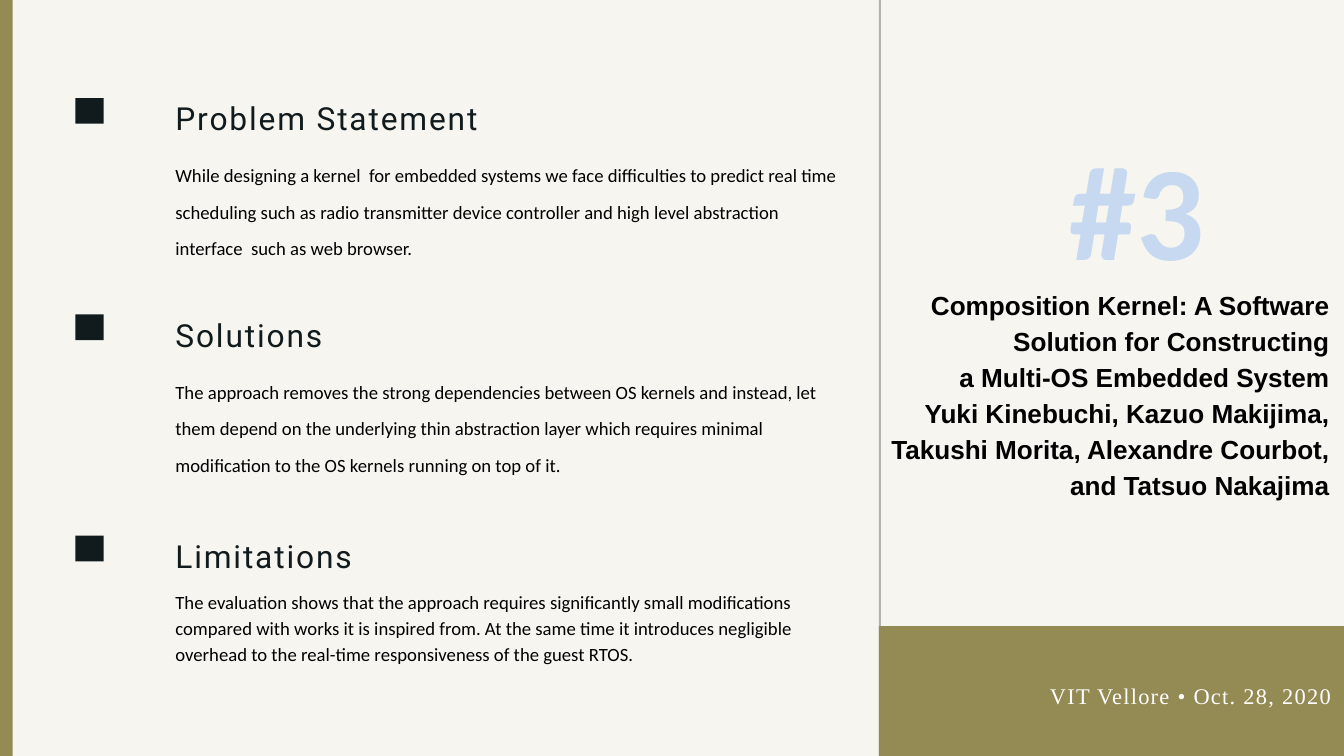
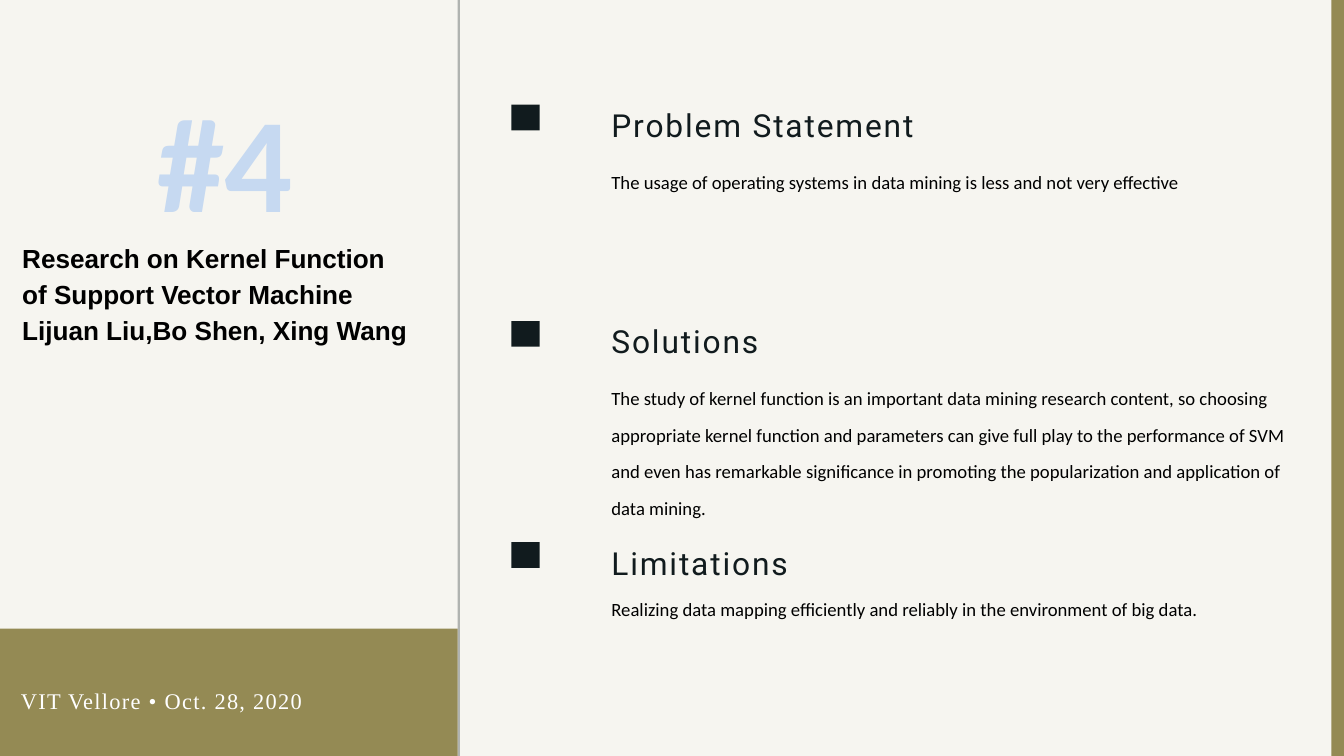
import pptx
import pptx.dml.color
import pptx.enum.shapes
import pptx.enum.text
import pptx.oxml.ns
import pptx.util
from lxml import etree

Cm, Pt = pptx.util.Cm, pptx.util.Pt
ALIGN = pptx.enum.text.PP_ALIGN

# Slide size and shared measures, in centimetres
WIDTH, HEIGHT = 50.8, 28.58
EDGE_W, DIVIDER_W = 0.48, 0.08
MARKER_W, MARKER_H = 1.07, 0.97
MARKER_DX, MARKER_DY = -3.78, 0.08
BODY_DY, BODY_W = 2.04, 25.53

PAPER, INK, OLIVE = "F6F5F0", "111B1E", "948A54"
BLACK, WHITE, PALE_BLUE = "000000", "FFFFFF", "C6D9F1"

# Each section: heading, offset below the first one, line spacing, line height
SECTIONS = [
    ("Problem Statement", 0, Pt(39.2), 1.36),
    ("Solutions", 8.18, Pt(39.2), 1.36),
    ("Limitations", 16.54, 1.15, 0.97),
]
FOOTER = "VIT Vellore • Oct. 28, 2020"


def rgb(hex_string):
    return pptx.dml.color.RGBColor.from_string(hex_string)


class Deck:
    """Holds the style and the current slide."""

    def __init__(self):
        self.prs = pptx.Presentation()
        self.prs.slide_width, self.prs.slide_height = Cm(WIDTH), Cm(HEIGHT)
        self.s = None

    def new_slide(self):
        self.s = self.prs.slides.add_slide(self.prs.slide_layouts[6])
        fill = self.s.background.fill
        fill.solid()
        fill.fore_color.rgb = rgb(PAPER)

    def rect(self, x, y, w, h, color, opacity=100):
        sp = self.s.shapes.add_shape(
            pptx.enum.shapes.MSO_SHAPE.RECTANGLE, Cm(x), Cm(y), Cm(w), Cm(h))
        sp.shadow.inherit = False
        sp.fill.solid()
        sp.fill.fore_color.rgb = rgb(color)
        sp.line.fill.background()
        if opacity < 100:
            qn = pptx.oxml.ns.qn
            clr = sp._element.spPr.find(qn("a:solidFill")).find(qn("a:srgbClr"))
            etree.SubElement(clr, qn("a:alpha"), val=str(opacity * 1000))

    def text(self, x, y, w, h, lines, font, size, color, spacing=None,
             align=ALIGN.LEFT, bold=False, tracking=0):
        tf = self.s.shapes.add_textbox(Cm(x), Cm(y), Cm(w), Cm(h)).text_frame
        tf.word_wrap = True
        tf.margin_left = tf.margin_right = tf.margin_top = tf.margin_bottom = 0
        tf.text = "\n".join(lines)
        for p in tf.paragraphs:
            p.alignment = align
            p.line_spacing = spacing
            for r in p.runs:
                r.font.name, r.font.size, r.font.bold = font, Pt(size), bold
                r.font.color.rgb = rgb(color)
                if tracking:
                    r._r.get_or_add_rPr().set("spc", str(round(tracking * 100)))

    def frame(self, divider_x, band_x, band_y, band_w, edge_x):
        self.rect(divider_x, 0, DIVIDER_W, HEIGHT, INK, opacity=30)
        self.rect(band_x, band_y, band_w, HEIGHT - band_y, OLIVE)
        self.rect(edge_x, 0, EDGE_W, HEIGHT, OLIVE)

    def number(self, center_x, y, label):
        self.text(center_x - 4.5, y, 9, 6.2, [label], "Calibri", 144, PALE_BLUE,
                  align=ALIGN.CENTER, bold=True)

    def paper_title(self, x, y, w, h, lines, align):
        self.text(x, y, w, h, lines, "Arial", 28, BLACK, 1.15, align, bold=True)

    def footer(self, x, y, w):
        self.text(x, y, w, 1.14, [FOOTER], "Times New Roman", 24, WHITE,
                  Pt(33.6), ALIGN.RIGHT, tracking=1.4)

    def sections(self, x, top, bodies):
        for (heading, dy, spacing, line_h), (body, count) in zip(SECTIONS, bodies):
            y = top + dy
            self.rect(x + MARKER_DX, y + MARKER_DY, MARKER_W, MARKER_H, INK)
            self.text(x, y, 15.6, 1.5, [heading], "Roboto", 34, INK,
                      Pt(44.2), tracking=2)
            self.text(x, y + BODY_DY, BODY_W, count * line_h, [body],
                      "Calibri", 20, BLACK, spacing)


def main():
    deck = Deck()

    # Composition kernel: sections left, title panel right
    deck.new_slide()
    deck.frame(33.22, 33.22, 23.67, WIDTH - 33.22, 0)
    deck.number(42.98, 4.78, "#3")
    deck.paper_title(33.45, 10.77, 16.79, 8.18, [
        "Composition Kernel: A Software Solution for Constructing",
        "a Multi-OS Embedded System",
        "Yuki Kinebuchi, Kazuo Makijima, Takushi Morita, Alexandre Courbot,",
        "and Tatsuo Nakajima",
    ], ALIGN.RIGHT)
    deck.sections(6.63, 3.63, [
        ("While designing a kernel  for embedded systems we face difficulties to "
         "predict real time scheduling such as radio transmitter device controller "
         "and high level abstraction interface  such as web browser.", 3),
        ("The approach removes the strong dependencies between OS kernels and "
         "instead, let them depend on the underlying thin abstraction layer which "
         "requires minimal modification to the OS kernels running on top of it.", 3),
        ("The evaluation shows that the approach requires significantly small "
         "modifications compared with works it is inspired from. At the same time "
         "it introduces negligible overhead to the real-time responsiveness of "
         "the guest RTOS.", 3),
    ])
    deck.footer(31.55, 25.63, 18.77)

    # Kernel function of SVM: title panel left, sections right
    deck.new_slide()
    deck.frame(17.3, 0, 23.77, 17.3, 50.44 - 0.12)
    deck.number(8.51, 2.95, "#4")
    deck.paper_title(0.84, 8.97, 14.73, 4.04, [
        "Research on Kernel Function of Support Vector Machine",
        "Lijuan Liu,Bo Shen, Xing Wang",
    ], ALIGN.LEFT)
    deck.sections(23.11, 3.88, [
        ("The usage of operating systems in data mining is less and not very "
         "effective", 1),
        ("The study of kernel function is an important data mining research "
         "content, so choosing appropriate kernel function and parameters can "
         "give full play to the performance of SVM and even has remarkable "
         "significance in promoting the popularization and application of data "
         "mining.", 4),
        ("Realizing data mapping efficiently and reliably in the environment of "
         "big data.", 1),
    ])
    deck.footer(0, 25.81, 11.43)

    deck.prs.save("out.pptx")


if __name__ == "__main__":
    main()
